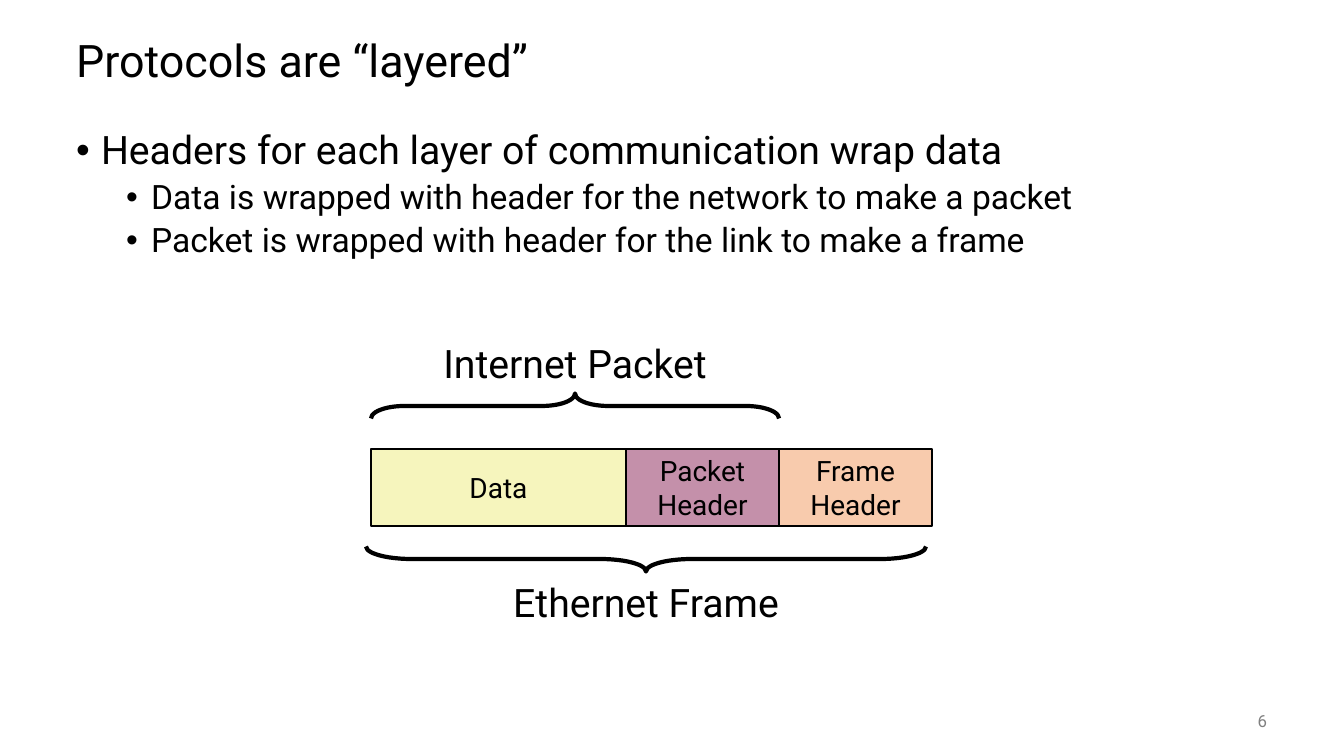
"""Build the slide on layered protocols."""
from dataclasses import dataclass

from lxml import etree
from pptx import Presentation
from pptx.dml.color import RGBColor
from pptx.enum.shapes import MSO_SHAPE
from pptx.enum.text import MSO_ANCHOR, MSO_AUTO_SIZE, PP_ALIGN
from pptx.oxml.ns import qn
from pptx.util import Pt

RECT, BRACE = MSO_SHAPE.RECTANGLE, MSO_SHAPE.LEFT_BRACE
MIDDLE, TOP = MSO_ANCHOR.MIDDLE, MSO_ANCHOR.TOP
LEFT, CENTER, RIGHT = PP_ALIGN.LEFT, PP_ALIGN.CENTER, PP_ALIGN.RIGHT
NO_FIT = MSO_AUTO_SIZE.NONE

TITLE = "Protocols are “layered”"
POINTS = [
    (0, "Headers for each layer of communication wrap data"),
    (1, "Data is wrapped with header for the network to make a packet"),
    (1, "Packet is wrapped with header for the link to make a frame"),
]
PAGE = "6"
CELLS = [
    ("Data", 255, "F6F5BD"),
    ("Packet\vHeader", 153, "C490AA"),
    ("Frame\vHeader", 153, "F8CBAD"),
]
SPANS = [
    ("Internet Packet", 371, 408, 406, 90, 1.33, 334),
    ("Ethernet Frame", 366, 560, 559, 270, 1.83, 573),
]


@dataclass(frozen=True)
class Theme:
    font: str = "Roboto"
    ink: str = "000000"
    gray: str = "808080"
    title: int = 32
    body: tuple = (28, 24)
    label: int = 28
    cell: int = 20
    page: int = 12


THEME = Theme()
SCALE = 914400 / 100.8
ROW_X, ROW_Y, ROW_H = 371, 449, 77
THICK = 25
LABEL_W, LABEL_H = 290, 58
INDENT, STEP = 25, 50


def px(n):
    return round(n * SCALE)


def place(shape, x, y, w, h):
    shape.left, shape.top, shape.width, shape.height = map(px, (x, y, w, h))


def style(para, size, align, color=THEME.ink):
    para.alignment = align
    for run in para.runs:
        run.font.name = THEME.font
        run.font.size = Pt(size)
        run.font.color.rgb = RGBColor.from_string(color)


def write(shape, text, size, align, color=THEME.ink, wrap=False):
    frame = shape.text_frame
    frame.text = text
    frame.word_wrap = wrap
    frame.auto_size = NO_FIT
    frame.vertical_anchor = MIDDLE
    style(frame.paragraphs[0], size, align, color)


def add_text(slide, box, *args, **kwargs):
    shape = slide.shapes.add_textbox(*map(px, box))
    write(shape, *args, **kwargs)


def add_shape(slide, kind, box, weight):
    shape = slide.shapes.add_shape(kind, *map(px, box))
    shape.shadow.inherit = False
    shape.line.color.rgb = RGBColor.from_string(THEME.ink)
    shape.line.width = Pt(weight)
    return shape


def add_points(body):
    place(body, 66, 126, 1210, 554)
    frame = body.text_frame
    frame.word_wrap = True
    frame.auto_size = NO_FIT
    frame.vertical_anchor = TOP
    for i, (level, text) in enumerate(POINTS):
        para = frame.paragraphs[0] if i == 0 else frame.add_paragraph()
        para.text = text
        para.level = level
        props = para._p.get_or_add_pPr()
        props.set("marL", str(px(INDENT + level * STEP)))
        props.set("indent", str(px(-INDENT)))
        etree.SubElement(props, qn("a:buFont")).set("typeface", "Arial")
        etree.SubElement(props, qn("a:buChar")).set("char", "•")
        para.line_spacing = 0.9
        para.space_before = Pt(5 if i else 0)
        style(para, THEME.body[level], LEFT)


def add_cells(slide):
    x = ROW_X
    for text, width, color in CELLS:
        cell = add_shape(slide, RECT, (x, ROW_Y, width, ROW_H), 1)
        cell.fill.solid()
        cell.fill.fore_color.rgb = RGBColor.from_string(color)
        write(cell, text, THEME.cell, CENTER)
        x += width


def add_spans(slide):
    for text, start, length, mid_y, turn, curve, top in SPANS:
        mid_x = start + length / 2
        box = (mid_x - THICK / 2, mid_y - length / 2, THICK, length)
        brace = add_shape(slide, BRACE, box, 3)
        brace.fill.background()
        brace.rotation = turn
        brace.adjustments[0] = curve
        brace.adjustments[1] = 0.5
        label = (mid_x - LABEL_W / 2, top, LABEL_W, LABEL_H)
        add_text(slide, label, text, THEME.label, CENTER)


def main():
    deck = Presentation()
    deck.slide_width, deck.slide_height = px(1344), px(756)
    slide = deck.slides.add_slide(deck.slide_layouts[1])
    title = slide.shapes.title
    place(title, 66, 25, 1210, 76)
    write(title, TITLE, THEME.title, LEFT, wrap=True)
    title.text_frame.paragraphs[0].line_spacing = 0.9
    add_points(slide.placeholders[1])
    add_text(slide, (1176, 701, 101, 40), PAGE, THEME.page, RIGHT,
             THEME.gray, wrap=True)
    add_cells(slide)
    add_spans(slide)
    deck.save("out.pptx")


if __name__ == "__main__":
    main()
